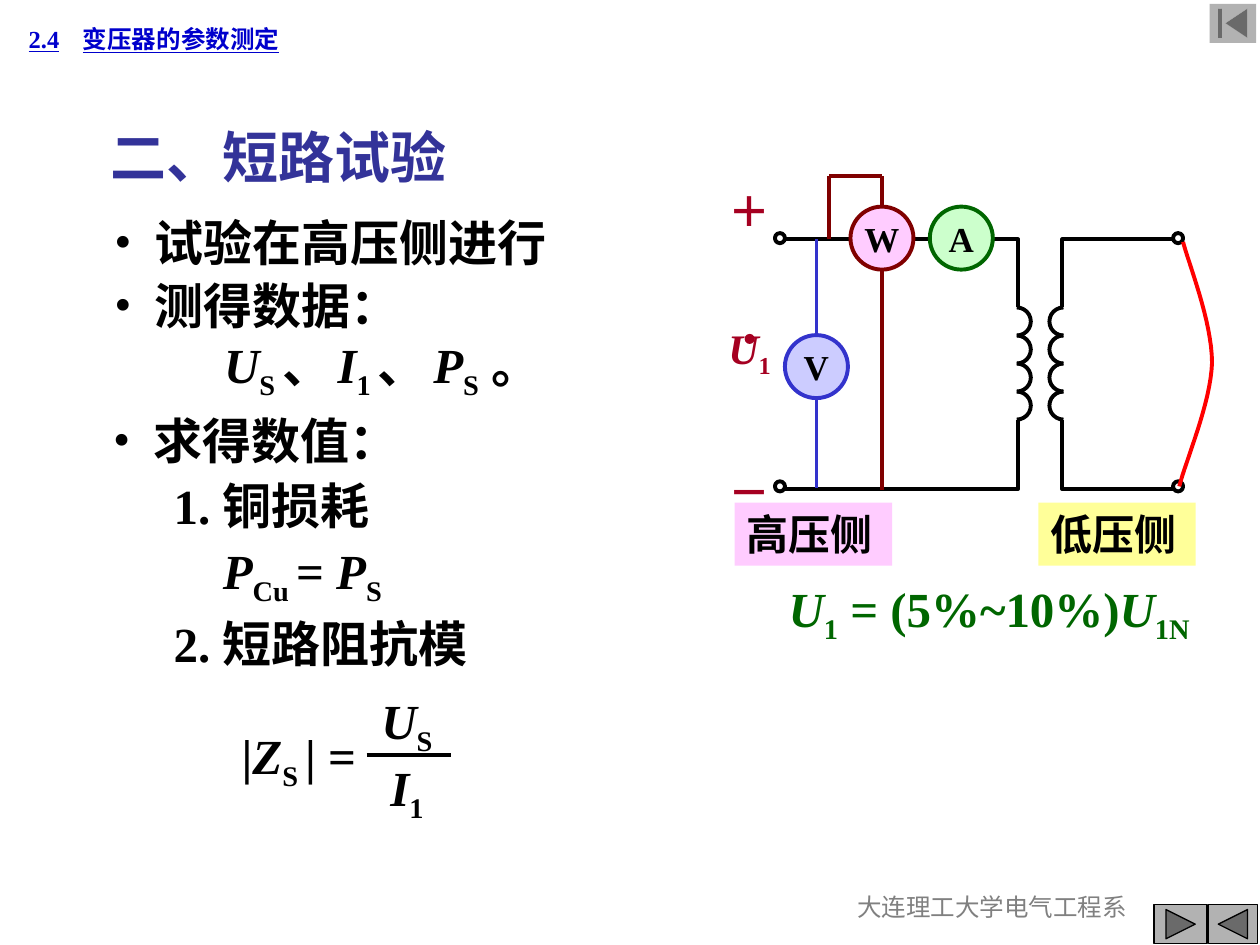
import pptx
import pptx.util
import pptx.dml.color
import pptx.enum.shapes
import pptx.enum.text
import pptx.oxml
import pptx.oxml.ns
from lxml import etree

Inches = pptx.util.Inches
SHAPES = pptx.enum.shapes.MSO_SHAPE
ALIGN = pptx.enum.text.PP_ALIGN
ANCHOR = pptx.enum.text.MSO_ANCHOR
FONT = "Times New Roman"
COLORS = {
    "black": "000000", "gray": "808080", "button": "B2B2B2",
    "title": "333399", "link": "0000CC", "crimson": "A50021",
    "red": "FF0000", "maroon": "800000", "blue": "3333CC",
    "green": "006600", "pink": "FFCCFF", "yellow": "FFFF99",
    "pale_green": "CCFFCC", "pale_blue": "CCCCFF",
}


def color(name):
    return pptx.dml.color.RGBColor.from_string(COLORS[name])


def add_element(parent, tag, **attributes):
    element = etree.SubElement(parent, pptx.oxml.ns.qn(tag))
    for key, value in attributes.items():
        element.set(key, str(value))
    return element


def write_para(para, spans, size=28, ink="black", bold=True, underline=None,
               align=ALIGN.LEFT, indent=0, bullet=False, tab=None, before=0):
    props = para._p.get_or_add_pPr()
    if indent:
        props.set("marL", str(Inches(indent)))
    if bullet:
        props.set("indent", str(-Inches(indent)))
        add_element(props, "a:buFont", typeface=FONT)
        add_element(props, "a:buChar", char="•")
    if tab:
        stops = add_element(props, "a:tabLst")
        add_element(stops, "a:tab", pos=Inches(tab), algn="l")
    para.alignment = align
    if before:
        para.space_before = pptx.util.Pt(before)
    for text, style in [(spans, "")] if isinstance(spans, str) else spans:
        span = para.add_run()
        span.text = text
        span.font.name = FONT
        span.font.size = pptx.util.Pt(size)
        span.font.bold = bold
        span.font.italic = style == "italic"
        span.font.underline = underline
        span.font.color.rgb = color(ink)
        if style == "sub":
            span.font._element.set("baseline", "-25000")


def add_text(page, box, spans, anchor=ANCHOR.TOP, wrap=True, **style):
    frame = page.shapes.add_textbox(*map(Inches, box)).text_frame
    frame.word_wrap = wrap
    frame.vertical_anchor = anchor
    write_para(frame.paragraphs[0], spans, **style)
    return frame


def add_shape(page, kind, box, fill=None, line=None, weight=2.25):
    shape = page.shapes.add_shape(kind, *map(Inches, box))
    paint(shape, fill, line, weight)
    return shape


def paint(shape, fill, line, weight=2.25):
    shape.shadow.inherit = False
    if fill:
        shape.fill.solid()
        shape.fill.fore_color.rgb = color(fill)
    else:
        shape.fill.background()
    if line:
        shape.line.color.rgb = color(line)
        shape.line.width = pptx.util.Pt(weight)
    else:
        shape.line.fill.background()


def add_path(page, points, line):
    points = [(Inches(x), Inches(y)) for x, y in points]
    builder = page.shapes.build_freeform(*points[0])
    builder.add_line_segments(points[1:], close=False)
    paint(builder.convert_to_shape(), None, line)


def add_line(page, start, end, line):
    connector = page.shapes.add_connector(
        pptx.enum.shapes.MSO_CONNECTOR.STRAIGHT, *map(Inches, start + end))
    connector.line.color.rgb = color(line)
    connector.line.width = pptx.util.Pt(2.25)
    add_element(connector._element.spPr, "a:effectLst")


def bezier(a, b, c, d, steps=16):
    for step in range(steps + 1):
        t = step / steps
        weights = ((1 - t) ** 3, 3 * t * (1 - t) ** 2, 3 * t * t * (1 - t), t ** 3)
        yield tuple(sum(w * p[axis] for w, p in zip(weights, (a, b, c, d)))
                    for axis in (0, 1))


def add_meter(page, center, letter, fill, line):
    x, y = center
    meter = add_shape(page, SHAPES.OVAL, (x - 0.25, y - 0.25, 0.5, 0.5), fill, line)
    meter.text_frame.word_wrap = False
    meter.text_frame.vertical_anchor = ANCHOR.MIDDLE
    write_para(meter.text_frame.paragraphs[0], letter, size=20, align=ALIGN.CENTER)


def add_coil(page, center_x, top, height, start, end):
    pitch = height / 4
    for turn in range(4):
        arc = add_shape(page, SHAPES.ARC,
                        (center_x - pitch / 2, top + turn * pitch, pitch, pitch), None, "black")
        arc.adjustments[0] = start * 0.6
        arc.adjustments[1] = end * 0.6


def draw_circuit(page, box):
    left, top, width, height = box

    def at(x, y):
        return left + x, top + y

    for x in (0.49, 3.65):
        for y in (0.49, 2.46):
            add_shape(page, SHAPES.OVAL, at(x - 0.04, y - 0.04) + (0.08, 0.08), None, "black")
    for outer, inner in ((0.52, 2.38), (3.61, 2.73)):
        for rail, coil_end in ((0.5, 1.04), (2.48, 1.93)):
            add_path(page, [at(outer, rail), at(inner, rail), at(inner, coil_end)], "black")
    add_coil(page, left + 2.37, top + 1.04, 0.89, 270, 90)
    add_coil(page, left + 2.74, top + 1.04, 0.89, 90, 270)
    upper = bezier(at(3.69, 0.52), at(3.73, 0.68), at(3.92, 1.15), at(3.92, 1.48))
    lower = bezier(at(3.92, 1.48), at(3.91, 1.8), at(3.71, 2.26), at(3.66, 2.46))
    add_path(page, list(upper) + list(lower)[1:], "red")

    voltage = [("U", "italic"), ("1", "sub")]
    for y, spans in ((0.02, "＋"), (1.11, voltage), (2.25, "－")):
        add_text(page, at(-0.25, y) + (1, 0.5), spans, size=24,
                 ink="crimson", align=ALIGN.CENTER)
    add_shape(page, SHAPES.OVAL, at(0.21, 1.25) + (0.08, 0.08), "crimson")

    add_line(page, at(0.78, 0.5), at(0.78, 2.47), "blue")
    add_line(page, at(1.3, 0), at(1.3, 2.49), "maroon")
    add_line(page, at(0.88, 0), at(0.88, 0.5), "maroon")
    add_line(page, at(0.88, 0), at(1.3, 0), "maroon")
    add_meter(page, at(1.93, 0.49), "A", "pale_green", "green")
    add_meter(page, at(0.78, 1.51), "V", "pale_blue", "blue")
    add_meter(page, at(1.3, 0.49), "W", "pink", "maroon")

    for x, label, fill in ((0.13, "高压侧", "pink"), (2.54, "低压侧", "yellow")):
        plate = add_shape(page, SHAPES.RECTANGLE, at(x, height - 0.5) + (1.25, 0.5), fill)
        plate.text_frame.vertical_anchor = ANCHOR.TOP
        write_para(plate.text_frame.paragraphs[0], label, size=24)


def write_steps(page, box):
    left, top, width, height = box
    bullet = {"indent": 0.32, "bullet": True}
    add_text(page, (left, top, width, 0.57), "试验在高压侧进行", **bullet)
    data = add_text(page, (left, top + 0.5, width, 1.1), "测得数据：", **bullet)
    write_para(data.add_paragraph(), [
        ("U", "italic"), ("S ", "sub"), ("、", ""), (" ", "sub"),
        ("I", "italic"), ("1 ", "sub"), ("、", ""), (" ", "sub"),
        ("P", "italic"), ("S", "sub"), (" 。", "")], indent=0.87)
    results = add_text(page, (left - 0.01, top + 1.57, width, 2.18), "求得数值：", **bullet)
    loss = [("P", "italic"), ("Cu ", "sub"), ("= ", ""), ("P", "italic"), ("S", "sub")]
    for spans, indent in (("1. 铜损耗", 0.48), (loss, 0.87), ("2. 短路阻抗模", 0.48)):
        write_para(results.add_paragraph(), spans, indent=indent, before=3.5)


def write_impedance(page, box):
    left, top, width, height = box
    add_text(page, (left, top + 0.28, 1.2, 0.63),
             [("|", ""), ("Z", "italic"), ("S ", "sub"), ("| =", "")], wrap=False)
    fraction = add_text(page, (left + 0.91, top, 1, height),
                        [("U", "italic"), ("S", "sub")], align=ALIGN.CENTER)
    write_para(fraction.add_paragraph(), [("I", "italic"), ("1", "sub")], align=ALIGN.CENTER)
    add_line(page, (left + 1.09, top + 0.56), (left + width, top + 0.56), "black")


def add_buttons(page):
    for kind, box, line in (
            (SHAPES.ACTION_BUTTON_FORWARD_OR_NEXT, (9.16, 7.18, 0.42, 0.31), "black"),
            (SHAPES.ACTION_BUTTON_BACK_OR_PREVIOUS, (9.59, 7.18, 0.39, 0.31), "black"),
            (SHAPES.ACTION_BUTTON_BEGINNING, (9.6, 0.03, 0.37, 0.31), None)):
        add_shape(page, kind, box, "button", line, 0.75)


def build_slide(page):
    add_text(page, (0.13, 0.14, 3.23, 0.34), "2.4\t变压器的参数测定", anchor=ANCHOR.MIDDLE,
             size=14, ink="link", underline=True, tab=0.43)
    add_text(page, (0.78, 0.92, 3.09, 0.64), "二、短路试验", wrap=False, size=32, ink="title")
    write_steps(page, (0.81, 1.64, 5.2, 3.75))
    write_impedance(page, (1.82, 5.43, 1.76, 1.16))
    draw_circuit(page, (5.7, 1.4, 3.92, 3.09))
    add_text(page, (6.16, 4.54, 3.55, 0.63),
             [("U", "italic"), ("1", "sub"), (" = (5%~10%)", ""), ("U", "italic"), ("1N", "sub")],
             ink="green")
    add_text(page, (6.29, 7.03, 3.17, 0.5), "大连理工大学电气工程系", size=14,
             ink="gray", bold=False, align=ALIGN.CENTER)
    add_buttons(page)


def main():
    deck = pptx.Presentation()
    deck.slide_width, deck.slide_height = Inches(10), Inches(7.5)
    build_slide(deck.slides.add_slide(deck.slide_layouts[6]))
    deck.save("out.pptx")


if __name__ == "__main__":
    main()
